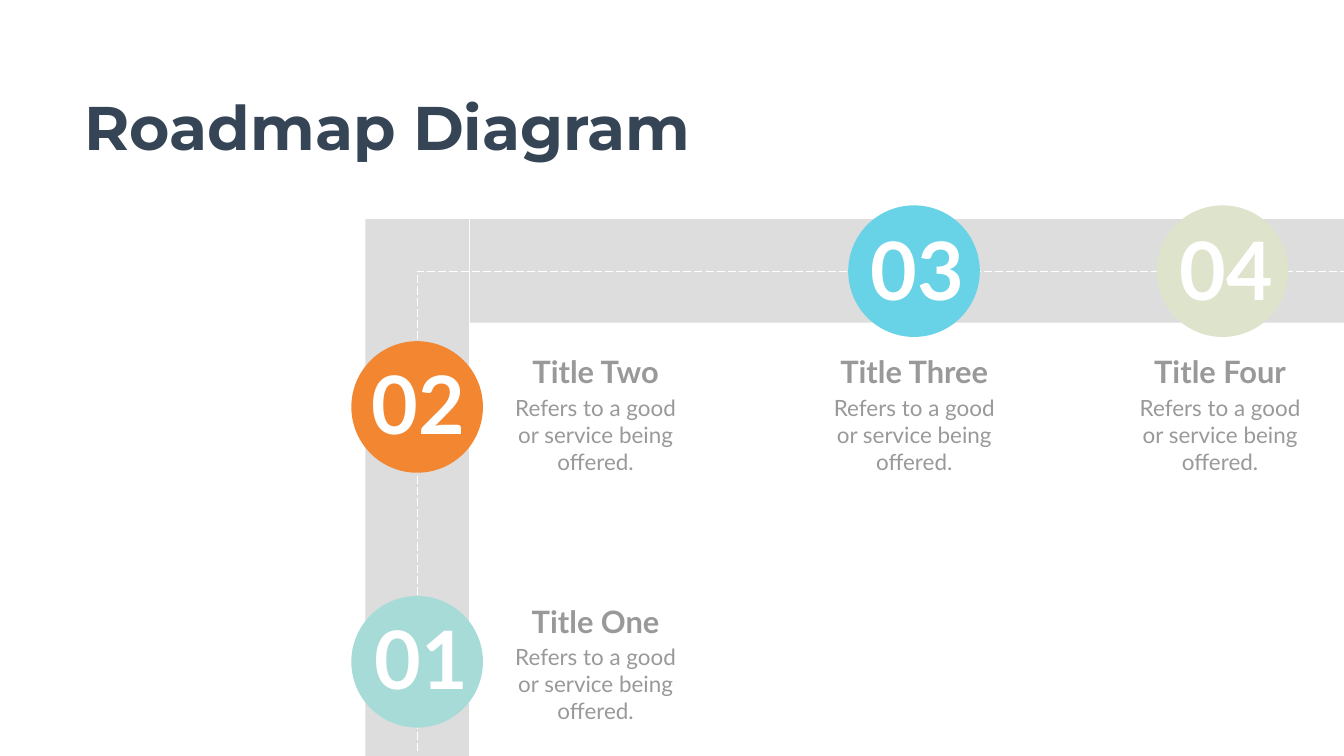
from dataclasses import dataclass

from lxml.etree import SubElement
from pptx import Presentation
from pptx.dml.color import RGBColor
from pptx.enum.dml import MSO_LINE
from pptx.enum.shapes import MSO_SHAPE
from pptx.enum.text import MSO_AUTO_SIZE, PP_ALIGN
from pptx.oxml.ns import qn
from pptx.util import Pt

WHITE = RGBColor(0xFF, 0xFF, 0xFF)
NAVY = RGBColor(0x36, 0x45, 0x56)
ROAD_GRAY = RGBColor(0x79, 0x79, 0x79)
TEXT_GRAY = RGBColor(0x99, 0x99, 0x99)
MINT = RGBColor(0xA6, 0xDB, 0xD7)
ORANGE = RGBColor(0xF2, 0x86, 0x31)
SKY = RGBColor(0x68, 0xD2, 0xE6)
SAGE = RGBColor(0xDE, 0xE3, 0xCB)

# Lengths in points
SLIDE_WIDTH, SLIDE_HEIGHT = 1919.52, 1080
ROAD_LEFT, ROAD_TOP, ROAD_WIDTH = 522, 313.2, 147.6
ROAD_JOINT = 1.4
LANE_X, LANE_Y = 595.8, 387.4
CIRCLE_SIZE = 188
SIDE_CAPTION_X = 850.7
UPPER_CAPTION_Y, LOWER_CAPTION_Y = 500.4, 856.8
DESCRIPTION = "Refers to a good or service being offered."


@dataclass
class Milestone:
    number: str
    title: str
    color: RGBColor
    center: tuple
    number_corner: tuple
    caption_x: float
    caption_y: float
    title_width: float


MILESTONES = [
    Milestone("01", "Title One", MINT, (LANE_X, 945.4), (527.8, 866.2),
              SIDE_CAPTION_X, LOWER_CAPTION_Y, 199.4),
    Milestone("02", "Title Two", ORANGE, (LANE_X, 581.4), (523.4, 501.8),
              SIDE_CAPTION_X, UPPER_CAPTION_Y, 202.3),
    Milestone("03", "Title Three", SKY, (1305.4, LANE_Y), (1236.2, 310.3),
              1305.8, UPPER_CAPTION_Y, 230.4),
    Milestone("04", "Title Four", SAGE, (1746, LANE_Y), (1677.6, 310.3),
              1742.6, UPPER_CAPTION_Y, 206.6),
]


class RoadmapSlide:
    heading_font = "Montserrat"
    body_font = "Lato"

    def __init__(self, slide):
        self.slide = slide

    def shape(self, kind, left, top, width, height, color, opacity=100):
        shape = self.slide.shapes.add_shape(
            kind, Pt(left), Pt(top), Pt(width), Pt(height))
        shape.shadow.inherit = False
        shape.line.fill.background()
        shape.fill.solid()
        shape.fill.fore_color.rgb = color
        if opacity < 100:
            fill_color = shape.fill._xPr.find(qn("a:solidFill"))[0]
            SubElement(fill_color, qn("a:alpha"), val=str(opacity * 1000))

    def dashed_path(self, points, color, width):
        points = [(Pt(x), Pt(y)) for x, y in points]
        builder = self.slide.shapes.build_freeform(*points[0])
        builder.add_line_segments(points[1:], close=False)
        shape = builder.convert_to_shape()
        shape.shadow.inherit = False
        shape.fill.background()
        shape.line.color.rgb = color
        shape.line.width = Pt(width)
        shape.line.dash_style = MSO_LINE.LONG_DASH

    def text(self, text, left, top, width, height, size, color,
             font=body_font, bold=True, align=PP_ALIGN.LEFT, wrap=False):
        box = self.slide.shapes.add_textbox(
            Pt(left), Pt(top), Pt(width), Pt(height))
        frame = box.text_frame
        frame.word_wrap = wrap
        frame.auto_size = MSO_AUTO_SIZE.SHAPE_TO_FIT_TEXT
        paragraph = frame.paragraphs[0]
        paragraph.text = text
        paragraph.alignment = align
        paragraph.font.name = font
        paragraph.font.size = Pt(size)
        paragraph.font.bold = bold
        paragraph.font.color.rgb = color

    def circle(self, center, size, color):
        x, y = center
        self.shape(MSO_SHAPE.OVAL, x - size / 2, y - size / 2, size, size, color)

    def caption(self, title, description, center_x, top, title_width):
        self.text(title, center_x - title_width / 2, top, title_width, 60.5,
                  44, TEXT_GRAY, align=PP_ALIGN.CENTER)
        width = 244.8
        self.text(description, center_x - width / 2, top + 58.7, width, 123.8,
                  32, TEXT_GRAY, bold=False, align=PP_ALIGN.CENTER, wrap=True)


def main():
    presentation = Presentation()
    presentation.slide_width = Pt(SLIDE_WIDTH)
    presentation.slide_height = Pt(SLIDE_HEIGHT)
    roadmap = RoadmapSlide(
        presentation.slides.add_slide(presentation.slide_layouts[6]))

    # Road
    roadmap.shape(MSO_SHAPE.RECTANGLE, ROAD_LEFT, ROAD_TOP, ROAD_WIDTH,
                  SLIDE_HEIGHT - ROAD_TOP, ROAD_GRAY, opacity=25)
    branch_left = ROAD_LEFT + ROAD_WIDTH + ROAD_JOINT
    roadmap.shape(MSO_SHAPE.RECTANGLE, branch_left, ROAD_TOP,
                  SLIDE_WIDTH - branch_left, ROAD_WIDTH, ROAD_GRAY, opacity=25)
    roadmap.dashed_path(
        [(LANE_X, 1072.8), (LANE_X, LANE_Y), (SLIDE_WIDTH, LANE_Y)], WHITE, 1.45)

    # Heading
    roadmap.text("Roadmap Diagram", 113.8, 123.1, 884.2, 113.8, 88, NAVY,
                 font=roadmap.heading_font)

    # Milestones
    for milestone in MILESTONES:
        roadmap.circle(milestone.center, CIRCLE_SIZE, milestone.color)
        roadmap.text(milestone.number, *milestone.number_corner, 149, 146.9,
                     115, WHITE)
        roadmap.caption(milestone.title, DESCRIPTION, milestone.caption_x,
                        milestone.caption_y, milestone.title_width)

    presentation.save("out.pptx")


if __name__ == "__main__":
    main()
